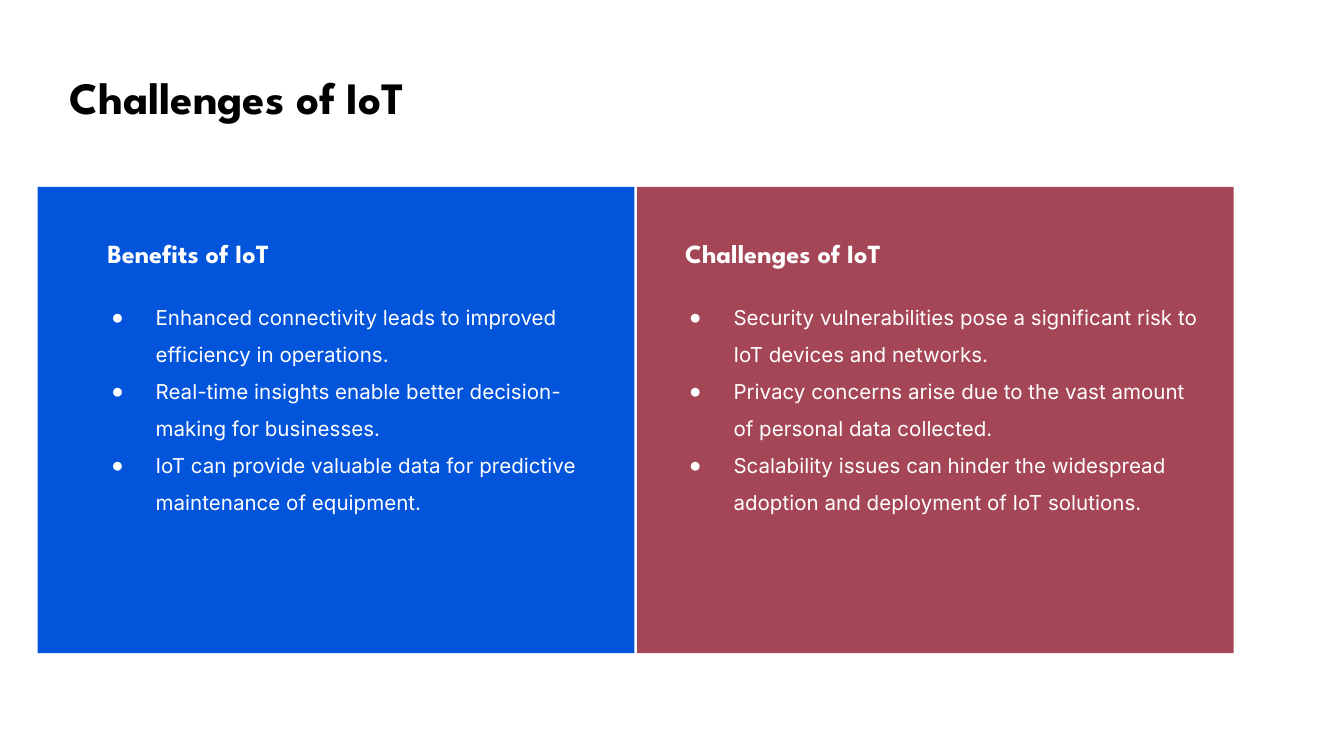
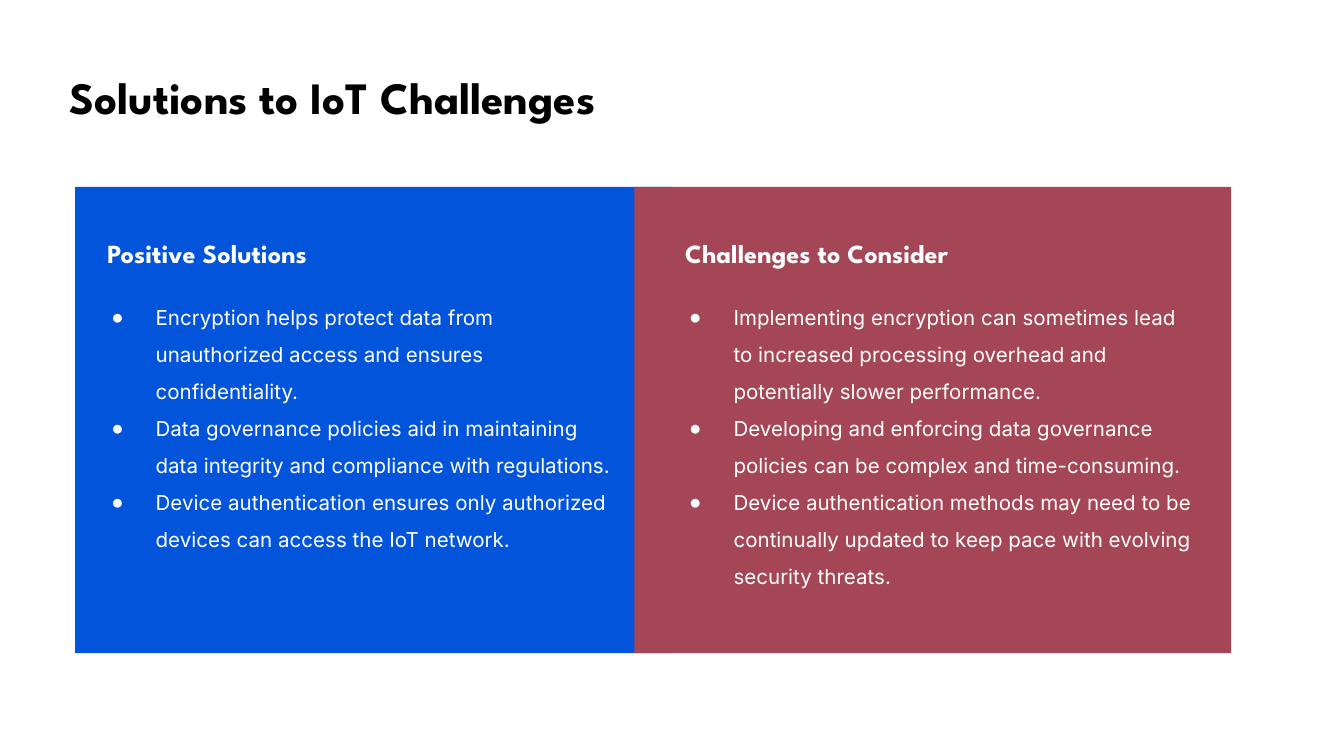
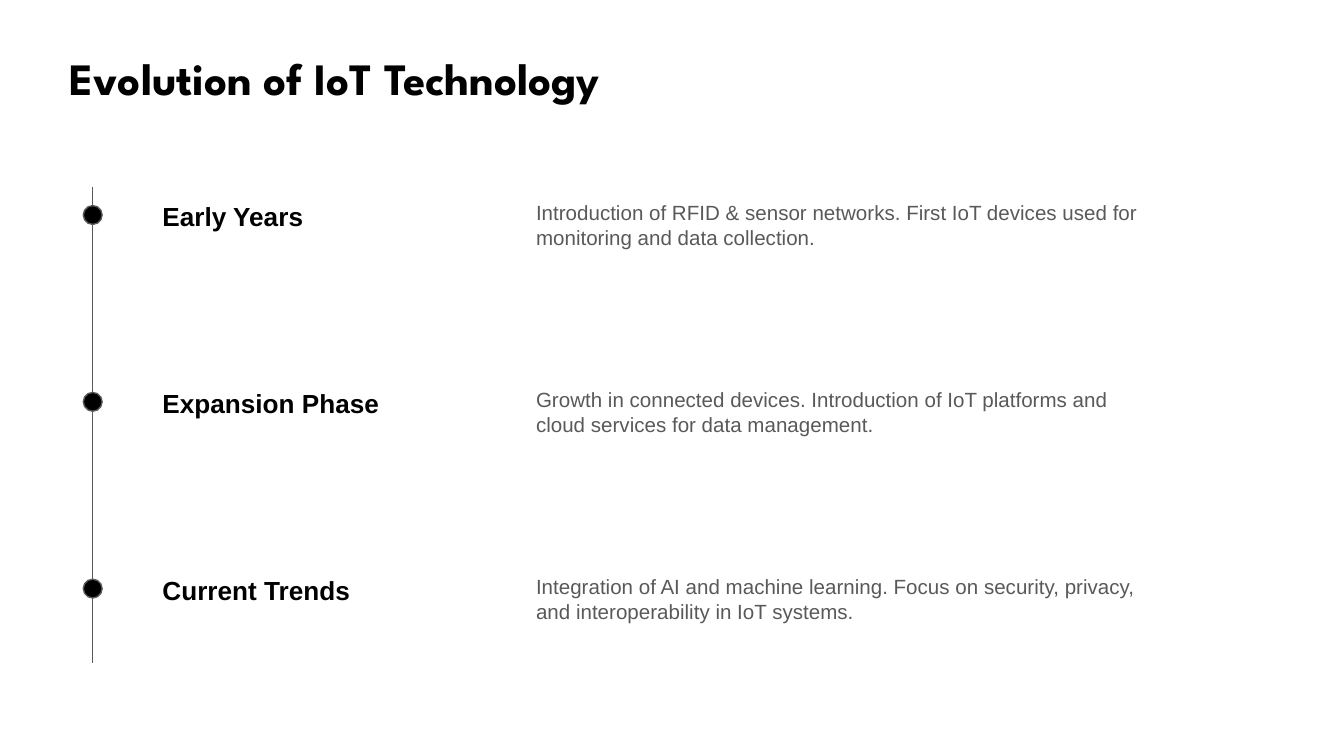
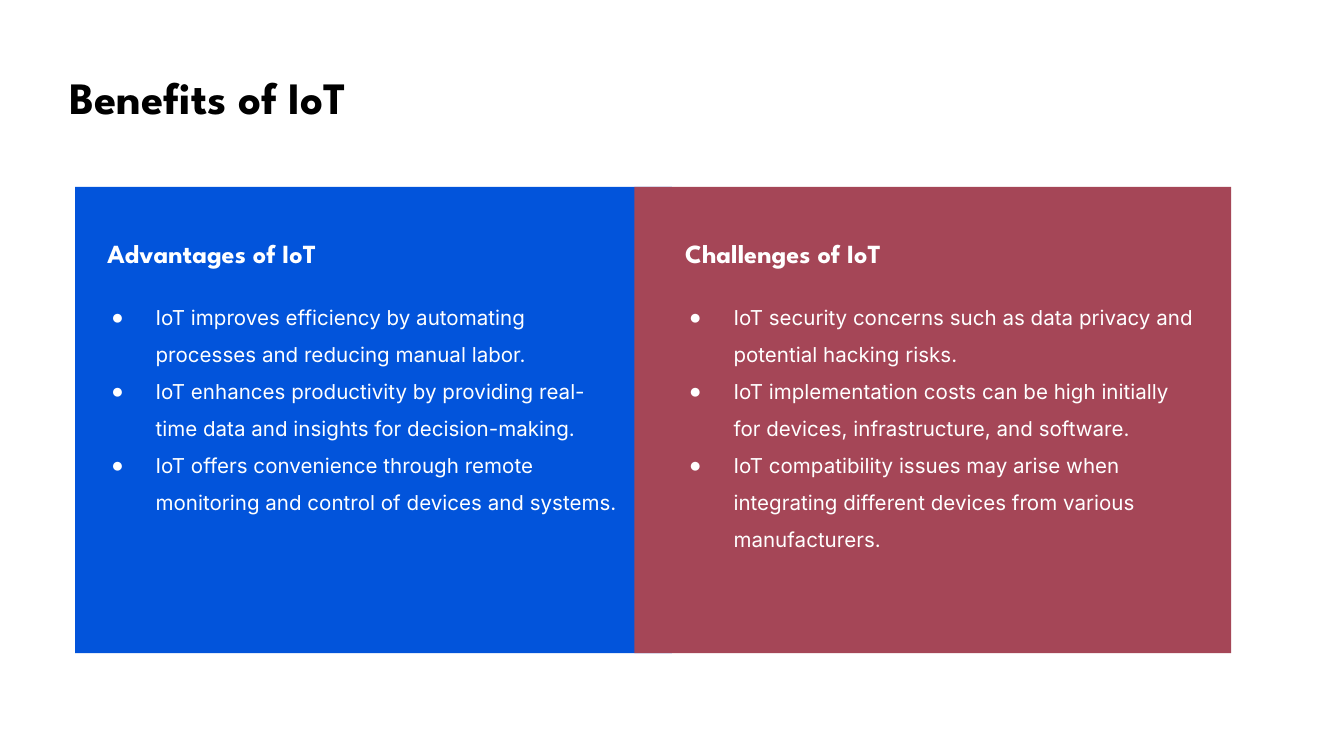
from collections import namedtuple

from lxml import etree
from pptx import Presentation
from pptx.dml.color import RGBColor
from pptx.enum import shapes, text
from pptx.oxml import ns
from pptx.util import Inches, Pt

COLORS = {
    "background": "FFFFFF",
    "title": "000000",
    "positive": "0254DB",
    "negative": "A54657",
    "on_panel": "FFFFFF",
    "dot": "000000",
    "muted": "595959",
}
DISPLAY, BODY, PLAIN = "League Spartan", "Inter", "Arial"
Box = namedtuple("Box", "left top width height")


# Shared helpers
def color(name):
    return RGBColor.from_string(COLORS[name])


def new_page(deck):
    page = deck.slides.add_slide(deck.slide_layouts[6])
    page.background.fill.solid()
    page.background.fill.fore_color.rgb = color("background")
    return page


def add_text(page, box, lines, size, font, ink, bold=False):
    frame = page.shapes.add_textbox(*map(Inches, box)).text_frame
    frame.word_wrap = True
    frame.vertical_anchor = text.MSO_ANCHOR.TOP
    frame.margin_left = frame.margin_right = Inches(0.1)
    frame.margin_top = frame.margin_bottom = Inches(0.1)
    for index, line in enumerate(lines):
        para = frame.add_paragraph() if index else frame.paragraphs[0]
        para.text = line
        para.font.size = Pt(size)
        para.font.name = font
        para.font.bold = bold
        para.font.color.rgb = color(ink)
    return frame


def add_bullet(para, ink):
    para.line_spacing = 1.5
    props = para._p.get_or_add_pPr()
    props.set("marL", str(Inches(0.5)))
    props.set("indent", str(Inches(-0.33)))
    bullet_color = etree.SubElement(props, ns.qn("a:buClr"))
    etree.SubElement(bullet_color, ns.qn("a:srgbClr"), val=COLORS[ink])
    etree.SubElement(props, ns.qn("a:buFont"), typeface=PLAIN)
    etree.SubElement(props, ns.qn("a:buChar"), char="●")
    # Default run properties must follow the bullet settings
    defaults = props.find(ns.qn("a:defRPr"))
    if defaults is not None:
        props.append(defaults)


def add_filled(page, kind, box, fill, outline=None):
    shape = page.shapes.add_shape(kind, *map(Inches, box))
    shape.shadow.inherit = False
    shape.fill.solid()
    shape.fill.fore_color.rgb = color(fill)
    if outline:
        shape.line.color.rgb = color(outline)
        shape.line.width = Pt(0.75)
    else:
        shape.line.fill.background()


def add_title(page, title, top):
    add_text(page, Box(0.42, top, 9.03, 0.5), [title], 24, DISPLAY, "title", True)


# Comparison slides
def add_column(page, box, heading, points):
    add_text(page, Box(box.left + 0.14, box.top, box.width, 0.5),
             [heading], 14, DISPLAY, "on_panel", True)
    frame = add_text(page, Box(box.left, box.top + 0.41, box.width, 2.36),
                     points, 11, BODY, "on_panel")
    for para in frame.paragraphs:
        add_bullet(para, "on_panel")


def add_comparison(deck, title, panel_lefts, columns):
    page = new_page(deck)
    add_title(page, title, 0.42)
    for left, fill in zip(panel_lefts, ("positive", "negative")):
        add_filled(page, shapes.MSO_SHAPE.RECTANGLE, Box(left, 1.39, 4.44, 3.47), fill)
    for left, (heading, points) in zip((0.56, 4.86), columns):
        add_column(page, Box(left, 1.67, 4.17, 2.77), heading, points)


# Timeline slide
def add_milestone(page, box, name, description):
    add_text(page, Box(box.left + 0.42, box.top, 2.08, 0.35),
             [name], 14, PLAIN, "title", True)
    add_text(page, Box(box.left + 3.2, box.top, 4.86, box.height),
             [description], 11, PLAIN, "muted")
    add_filled(page, shapes.MSO_SHAPE.OVAL,
               Box(box.left - 0.07, box.top + 0.14, 0.14, 0.14), "dot", "muted")


def add_timeline(deck, title, milestones):
    page = new_page(deck)
    add_title(page, title, 0.28)
    area = Box(0.69, 1.39, 8.06, 3.54)
    axis = page.shapes.add_connector(
        shapes.MSO_CONNECTOR.STRAIGHT, Inches(area.left), Inches(area.top),
        Inches(area.left), Inches(area.top + area.height))
    axis.line.color.rgb = color("muted")
    axis.line.width = Pt(0.75)
    etree.SubElement(axis._element.spPr, ns.qn("a:effectLst"))
    step = 1.39
    for index, (name, description) in enumerate(milestones):
        row = Box(area.left, area.top + index * step, area.width, step)
        add_milestone(page, row, name, description)


# Content
CHALLENGES = [
    ("Benefits of IoT", [
        "Enhanced connectivity leads to improved efficiency in operations.",
        "Real-time insights enable better decision-making for businesses.",
        "IoT can provide valuable data for predictive maintenance of equipment.",
    ]),
    ("Challenges of IoT", [
        "Security vulnerabilities pose a significant risk to IoT devices and networks.",
        "Privacy concerns arise due to the vast amount of personal data collected.",
        "Scalability issues can hinder the widespread adoption and deployment of IoT solutions.",
    ]),
]
SOLUTIONS = [
    ("Positive Solutions", [
        "Encryption helps protect data from unauthorized access and ensures confidentiality.",
        "Data governance policies aid in maintaining data integrity and compliance with regulations.",
        "Device authentication ensures only authorized devices can access the IoT network.",
    ]),
    ("Challenges to Consider", [
        "Implementing encryption can sometimes lead to increased processing overhead "
        "and potentially slower performance.",
        "Developing and enforcing data governance policies can be complex and time-consuming.",
        "Device authentication methods may need to be continually updated to keep pace "
        "with evolving security threats.",
    ]),
]
MILESTONES = [
    ("Early Years", "Introduction of RFID & sensor networks. First IoT devices used "
                    "for monitoring and data collection."),
    ("Expansion Phase", "Growth in connected devices. Introduction of IoT platforms "
                        "and cloud services for data management."),
    ("Current Trends", "Integration of AI and machine learning. Focus on security, "
                       "privacy, and interoperability in IoT systems."),
]
BENEFITS = [
    ("Advantages of IoT", [
        "IoT improves efficiency by automating processes and reducing manual labor.",
        "IoT enhances productivity by providing real-time data and insights for decision-making.",
        "IoT offers convenience through remote monitoring and control of devices and systems.",
    ]),
    ("Challenges of IoT", [
        "IoT security concerns such as data privacy and potential hacking risks.",
        "IoT implementation costs can be high initially for devices, infrastructure, and software.",
        "IoT compatibility issues may arise when integrating different devices "
        "from various manufacturers.",
    ]),
]
APART, OVERLAPPING = (0.28, 4.74), (0.56, 4.72)


def main():
    deck = Presentation()
    deck.slide_width, deck.slide_height = Inches(10), Inches(10 * 9 / 16)
    add_comparison(deck, "Challenges of IoT", APART, CHALLENGES)
    add_comparison(deck, "Solutions to IoT Challenges", OVERLAPPING, SOLUTIONS)
    add_timeline(deck, "Evolution of IoT Technology", MILESTONES)
    add_comparison(deck, "Benefits of IoT", OVERLAPPING, BENEFITS)
    deck.save("out.pptx")


if __name__ == "__main__":
    main()
